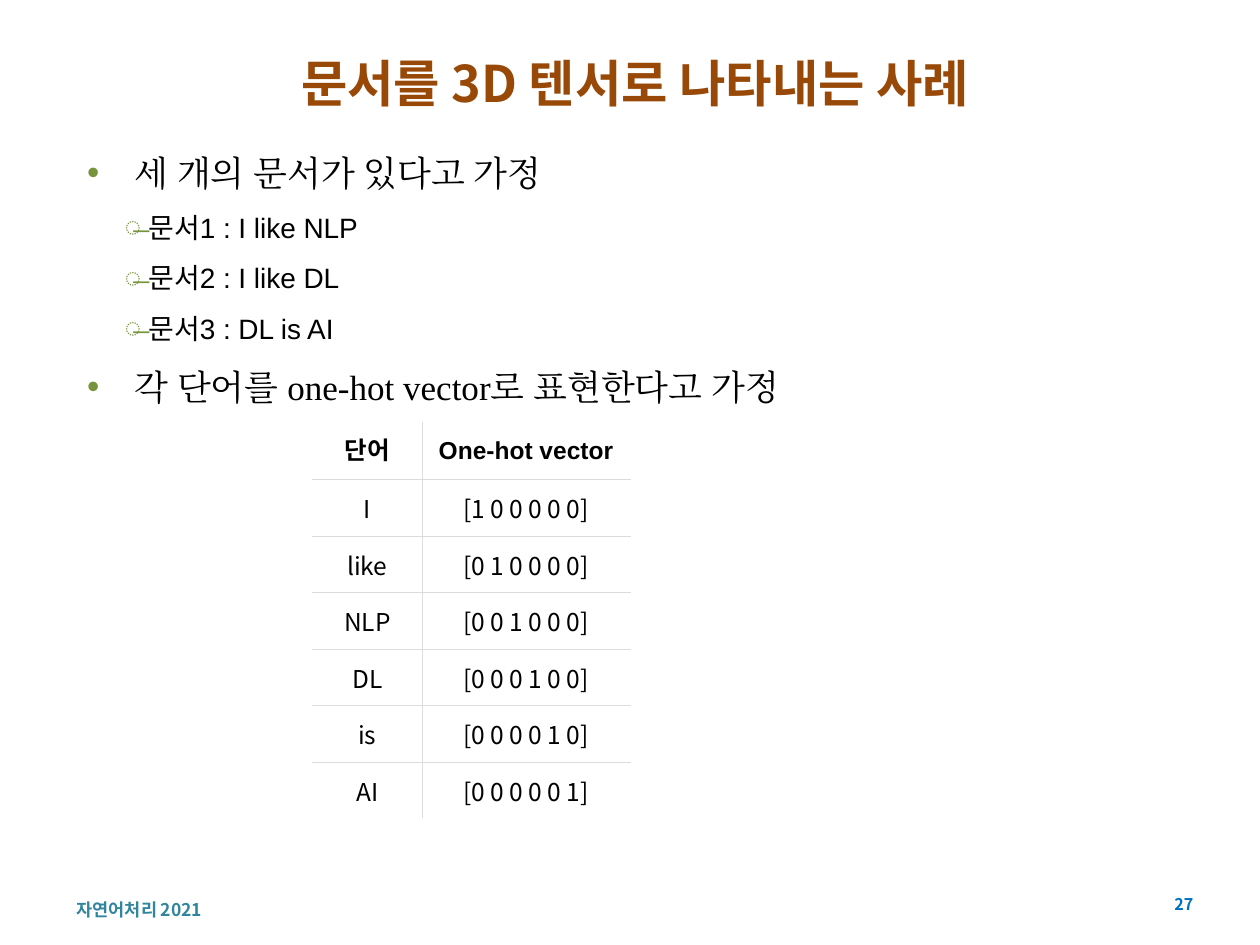
from dataclasses import dataclass

from lxml.etree import SubElement
from pptx import Presentation
from pptx.dml.color import RGBColor
from pptx.enum.text import MSO_ANCHOR as Anchor, MSO_AUTO_SIZE as AutoSize, PP_ALIGN as Align
from pptx.oxml.ns import qn
from pptx.util import Cm, Pt

# Content
TITLE = "문서를 3D 텐서로 나타내는 사례"
BULLETS = [
    (0, "세 개의 문서가 있다고 가정"),
    (1, "문서1 : I like NLP"),
    (1, "문서2 : I like DL"),
    (1, "문서3 : DL is AI"),
    (0, "각 단어를 one-hot vector로 표현한다고 가정"),
]
HEADER = ("단어", "One-hot vector")
WORDS = ["I", "like", "NLP", "DL", "is", "AI"]
FOOTER = "자연어처리 2021"
PAGE_NUMBER = "27"


@dataclass(frozen=True)
class Theme:
    sans: str = "Noto Sans CJK KR"
    arial: str = "Arial"
    serif: str = "Times New Roman"
    title: str = "984807"
    text: str = "000000"
    bullet: str = "77933C"
    rule: str = "DCDCDC"
    footer: str = "31859C"
    number: str = "0070C0"
    title_size: float = 28.8
    table_size: float = 14
    footer_size: float = 10
    number_size: float = 9.2


THEME = Theme()
# Per level: bullet sign, left margin, hanging indent, font, size
LEVELS = [
    ("•", Cm(0.96), Cm(0.96), THEME.serif, 20),
    ("̶", Cm(1.24), Cm(0.48), THEME.arial, 16),
]
RULE_WIDTH = Pt(0.75)


def place(shape, left, top, width, height):
    shape.left, shape.top, shape.width, shape.height = map(Cm, (left, top, width, height))


def style(paragraph, face, size, color, bold=False, align=None):
    paragraph.alignment = align
    font = paragraph.font
    font.name, font.size, font.bold = face, Pt(size), bold
    font.color.rgb = RGBColor.from_string(color)
    defaults = paragraph._p.pPr.find(qn("a:defRPr"))
    SubElement(defaults, qn("a:ea")).set("typeface", face)


def add_bullet(paragraph, sign, margin, hanging):
    props = paragraph._p.get_or_add_pPr()
    props.set("marL", str(margin))
    props.set("indent", str(-hanging))
    color = SubElement(props, qn("a:buClr"))
    SubElement(color, qn("a:srgbClr")).set("val", THEME.bullet)
    SubElement(props, qn("a:buFont")).set("typeface", THEME.arial)
    SubElement(props, qn("a:buChar")).set("char", sign)


def add_rule(cell, side):
    line = SubElement(cell._tc.get_or_add_tcPr(), qn(f"a:ln{side}"), w=str(RULE_WIDTH))
    fill = SubElement(line, qn("a:solidFill"))
    SubElement(fill, qn("a:srgbClr")).set("val", THEME.rule)


def add_label(slide, text, box, *look):
    label = slide.shapes.add_textbox(0, 0, 0, 0)
    place(label, *box)
    frame = label.text_frame
    frame.word_wrap = True
    frame.vertical_anchor = Anchor.MIDDLE
    frame.margin_top = frame.margin_bottom = 0
    frame.text = text
    style(frame.paragraphs[0], *look)


deck = Presentation()
deck.slide_width, deck.slide_height = Cm(25.4), Cm(19.05)
slide = deck.slides.add_slide(deck.slide_layouts[1])
title, body = slide.placeholders

# Footer and page number
add_label(slide, FOOTER, (1.3, 18.14, 6.6, 0.4),
          THEME.sans, THEME.footer_size, THEME.footer, True)
add_label(slide, PAGE_NUMBER, (22.91, 17.93, 1.4, 0.6),
          THEME.sans, THEME.number_size, THEME.number, True, Align.RIGHT)

# Title
place(title, 1.3, 0.91, 23.01, 1.52)
title.text_frame.text = TITLE
title.text_frame.auto_size = AutoSize.NONE
title.text_frame.vertical_anchor = Anchor.MIDDLE
style(title.text_frame.paragraphs[0], THEME.sans, THEME.title_size,
      THEME.title, True, Align.CENTER)

# Bulleted list
place(body, 1.5, 2.51, 18.21, 4.39)
body.text_frame.text = "\n".join(text for _, text in BULLETS)
body.text_frame.auto_size = AutoSize.NONE
for paragraph, (level, _) in zip(body.text_frame.paragraphs, BULLETS):
    sign, margin, hanging, face, size = LEVELS[level]
    paragraph.level = level
    paragraph.line_spacing = 1.5
    paragraph.space_before = Pt(0)
    add_bullet(paragraph, sign, margin, hanging)
    style(paragraph, face, size, THEME.text)

# Table: each word's vector has its 1 at the word's own position
vectors = ["[" + " ".join("1" if i == j else "0" for j in range(len(WORDS))) + "]"
           for i in range(len(WORDS))]
rows = [HEADER, *zip(WORDS, vectors)]
row_height, column_widths = Cm(1.14), (Cm(2.21), Cm(4.19))
table = slide.shapes.add_table(len(rows), len(HEADER), Cm(6.3), Cm(8.53),
                               sum(column_widths), row_height * len(rows)).table
table.first_row = table.horz_banding = False
for column, width in zip(table.columns, column_widths):
    column.width = width
for r, row in enumerate(rows):
    table.rows[r].height = row_height
    for c, text in enumerate(row):
        cell = table.cell(r, c)
        cell.text = text
        cell.vertical_anchor = Anchor.MIDDLE
        cell.margin_left = cell.margin_right = Cm(0.3)
        cell.margin_top = cell.margin_bottom = Cm(0.2)
        inner_sides = {"L": c > 0, "R": c < len(HEADER) - 1,
                       "T": r > 0, "B": r < len(rows) - 1}
        for side, is_inner in inner_sides.items():
            if is_inner:
                add_rule(cell, side)
        cell.fill.background()
        style(cell.text_frame.paragraphs[0], THEME.sans if r else THEME.arial,
              THEME.table_size, THEME.text, r == 0, Align.CENTER)

deck.save("out.pptx")
